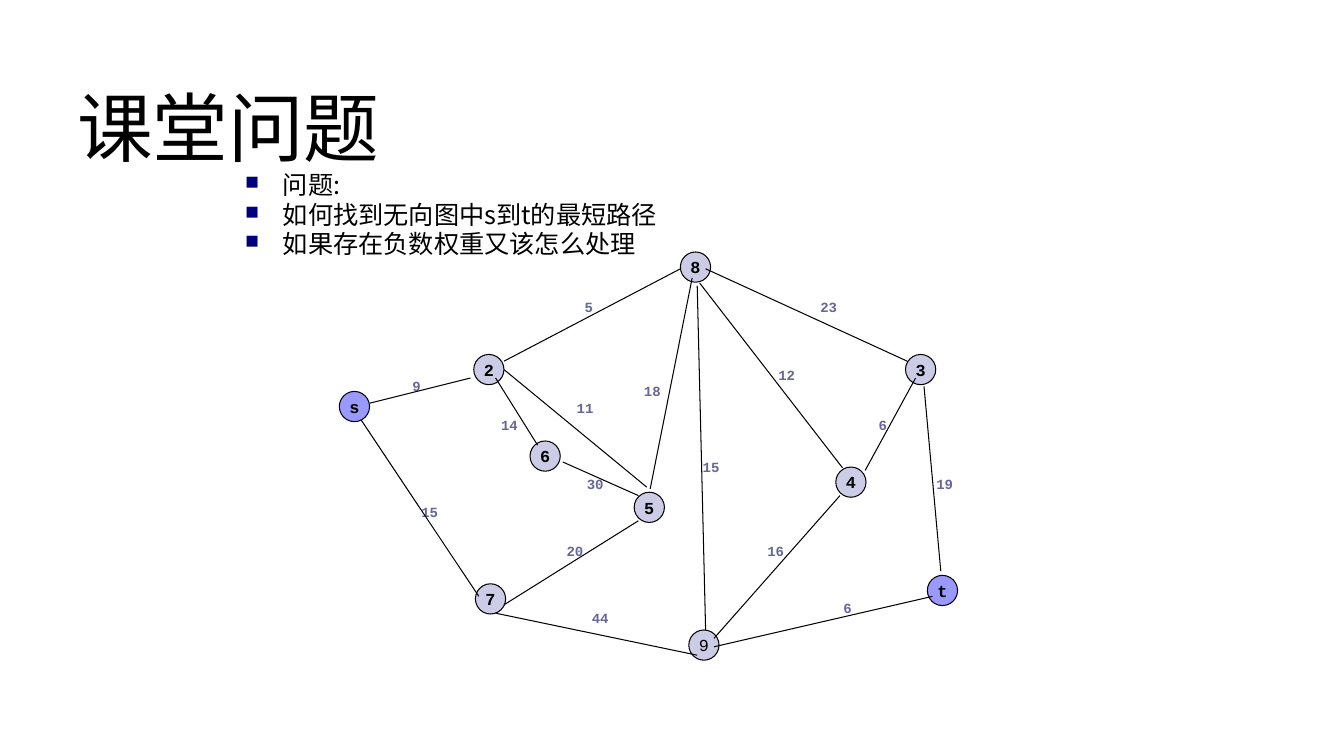
from pptx import Presentation
from pptx.dml.color import RGBColor
from pptx.enum.shapes import MSO_CONNECTOR as Link, MSO_SHAPE as Kind
from pptx.enum.text import MSO_ANCHOR as Anchor, PP_ALIGN as Align
from pptx.oxml import parse_xml
from pptx.oxml.ns import nsdecls, qn
from pptx.util import Inches, Pt

BLACK = RGBColor(0x00, 0x00, 0x00)
WHITE = RGBColor(0xFF, 0xFF, 0xFF)
NAVY = RGBColor(0x00, 0x00, 0x7D)
SLATE = RGBColor(0x66, 0x66, 0x99)
PALE = RGBColor(0xCC, 0xCC, 0xE6)
VIOLET = RGBColor(0x99, 0x99, 0xFF)
HAN = "Noto Sans CJK SC"
MONO = "Courier New"

# Grid of 160 columns by 90 rows
deck = Presentation()
deck.slide_width, deck.slide_height = Inches(13.333), Inches(7.5)
CELL = deck.slide_height / 90
slide = deck.slides.add_slide(deck.slide_layouts[6])
shapes = slide.shapes


def grid(*cells):
    return [round(n * CELL) for n in cells]


def write(par, text, size, face, color, bold=False):
    run = par.add_run()
    run.text = text
    font = run.font
    font.size, font.name, font.bold = Pt(size), face, bold
    font.color.rgb = color
    east = parse_xml(f'<a:ea {nsdecls("a")} typeface="{HAN}"/>')
    run._r.get_or_add_rPr().find(qn("a:latin")).addnext(east)


# Title
frame = shapes.add_textbox(*grid(8, 6, 144, 18)).text_frame
frame.word_wrap = True
frame.vertical_anchor = Anchor.MIDDLE
write(frame.paragraphs[0], "课堂问题", 54, "Arial", BLACK)

# Questions
frame = shapes.add_textbox(*grid(28, 20, 108, 51)).text_frame
frame.word_wrap = True
lines = ["问题:", "如何找到无向图中s到t的最短路径", "如果存在负数权重又该怎么处理"]
indent, = grid(4.5)
for i, text in enumerate(lines):
    par = frame.paragraphs[0] if i == 0 else frame.add_paragraph()
    props = par._p.get_or_add_pPr()
    props.set("marL", str(indent))
    props.set("indent", str(-indent))
    for tag in (f'<a:buClr {nsdecls("a")}><a:srgbClr val="{NAVY}"/></a:buClr>',
                f'<a:buSzPct {nsdecls("a")} val="75000"/>',
                f'<a:buChar {nsdecls("a")} char="■"/>'):
        props.append(parse_xml(tag))
    par.line_spacing = 0.9
    if i:
        par.space_before = Pt(1.7)
    write(par, text, 18, HAN, BLACK)

# Edge weights: text, column, row
weights = [
    ("23", 97, 35), ("18", 76, 45), ("12", 92, 43), ("9", 48.5, 44.3),
    ("14", 59, 49), ("15", 49.5, 59.4), ("5", 69, 35), ("30", 69.2, 56),
    ("20", 66.8, 64), ("44", 69.8, 72), ("16", 90.7, 64), ("15", 83, 54),
    ("6", 104, 49), ("19", 110.8, 56), ("6", 99.8, 70.8), ("11", 68, 47),
]
pad, = grid(0.6)
for text, col, row in weights:
    wide = 1.1 * (len(text) + 1)
    tag = shapes.add_shape(Kind.RECTANGLE, *grid(col, row, wide, 3.2))
    tag.shadow.inherit = False
    tag.fill.solid()
    tag.fill.fore_color.rgb = WHITE
    tag.line.fill.background()
    frame = tag.text_frame
    frame.word_wrap = False
    frame.vertical_anchor = Anchor.TOP
    frame.margin_left = frame.margin_right = pad
    frame.margin_top = frame.margin_bottom = pad
    frame.paragraphs[0].alignment = Align.CENTER
    write(frame.paragraphs[0], text, 10, MONO, SLATE, True)

# Nodes: name, column, row
nodes = [
    ("s", 40.4, 46.6), ("3", 107.8, 42.2), ("t", 110.4, 68.5),
    ("2", 56.4, 42.2), ("6", 63.1, 52.5), ("7", 56.6, 69.5),
    ("4", 99.5, 55.6), ("5", 75.5, 58.6), ("8", 81, 30), ("9", 82, 75),
]
for name, col, row in nodes:
    disc = shapes.add_shape(Kind.OVAL, *grid(col, row, 3.6, 3.6))
    disc.shadow.inherit = False
    disc.fill.solid()
    disc.fill.fore_color.rgb = VIOLET if name in "st" else PALE
    disc.line.color.rgb = BLACK
    disc.line.width = Pt(0.75)
    frame = disc.text_frame
    frame.word_wrap = False
    frame.vertical_anchor = Anchor.MIDDLE
    frame.paragraphs[0].alignment = Align.CENTER
    write(frame.paragraphs[0], name, 12, MONO, BLACK, name != "9")

# Edges: start column and row, end column and row
edges = [
    (44, 48, 56, 45), (60, 43, 81, 32), (82.4, 33.1, 77.4, 58.2),
    (60, 72, 76, 62), (59, 45, 64, 53), (84, 32, 108, 43),
    (83.3, 33.7, 100.3, 55.7), (67, 55, 76, 59), (43, 50, 57, 71),
    (59, 73, 83, 78), (85, 76, 100, 59), (110, 46, 112, 68),
    (103, 56, 109, 45), (85, 77, 111, 71), (83, 34, 84, 75),
    (60, 44, 77, 58),
]
for ends in edges:
    edge = shapes.add_connector(Link.STRAIGHT, *grid(*ends))
    edge.line.color.rgb = BLACK
    edge.line.width = Pt(0.75)
    edge._element.spPr.append(parse_xml(f'<a:effectLst {nsdecls("a")}/>'))

deck.save("out.pptx")
